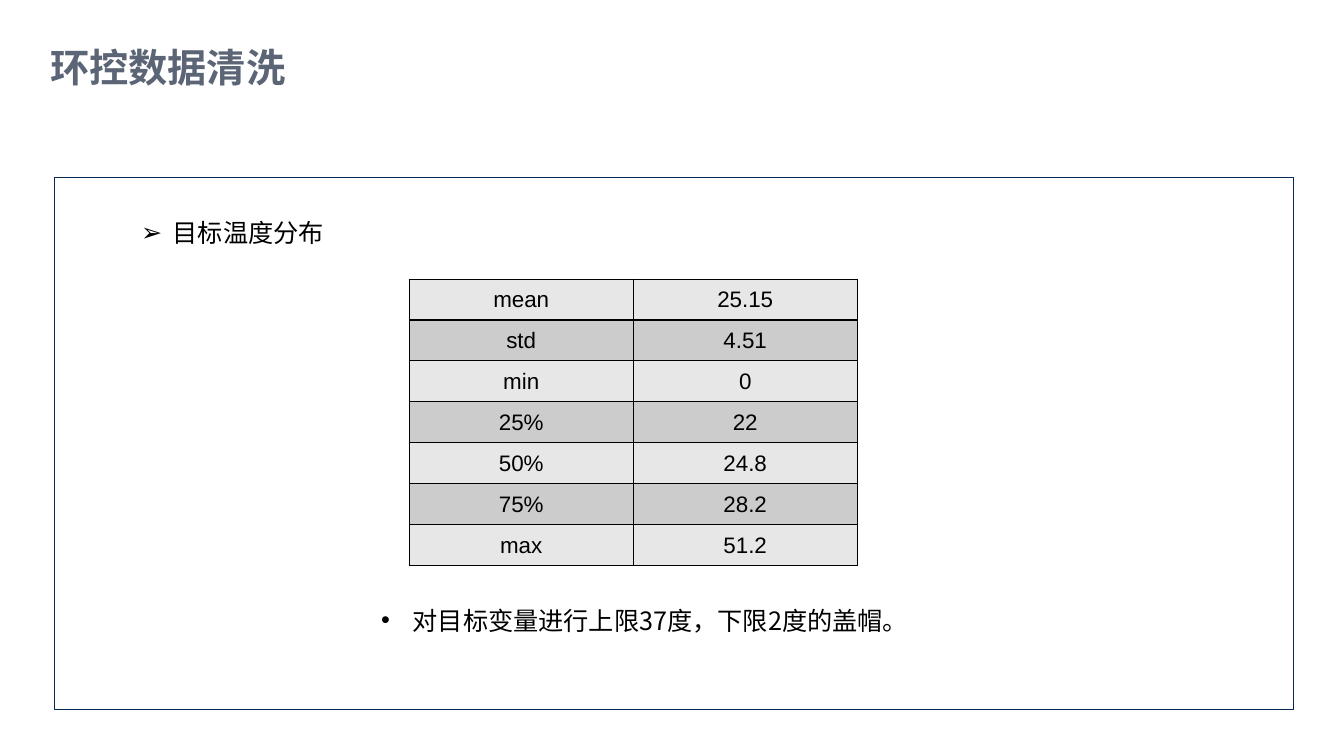
from dataclasses import dataclass

from lxml import etree
from pptx import Presentation
from pptx.dml.color import RGBColor
from pptx.enum.shapes import MSO_SHAPE
from pptx.enum.text import MSO_ANCHOR, MSO_AUTO_SIZE, PP_ALIGN
from pptx.oxml.ns import qn
from pptx.util import Pt

RECTANGLE = MSO_SHAPE.RECTANGLE
MIDDLE, TOP = MSO_ANCHOR.MIDDLE, MSO_ANCHOR.TOP
NO_AUTOSIZE, GROW = MSO_AUTO_SIZE.NONE, MSO_AUTO_SIZE.SHAPE_TO_FIT_TEXT
LEFT, CENTER, JUSTIFY = PP_ALIGN.LEFT, PP_ALIGN.CENTER, PP_ALIGN.JUSTIFY

CHINESE, LATIN = "Noto Sans CJK SC", "Arial"
BLACK, TITLE_GREY, NAVY = "000000", "5C6576", "032954"
ROW_FILLS = ("E7E7E7", "CCCCCC")
INDENT = 22.5
COLUMN_WIDTH, ROW_HEIGHT = 160, 29.2

STATISTICS = (
    ("mean", "25.15"),
    ("std", "4.51"),
    ("min", "0"),
    ("25%", "22"),
    ("50%", "24.8"),
    ("75%", "28.2"),
    ("max", "51.2"),
)


@dataclass
class Area:
    left: float
    top: float
    width: float
    height: float


@dataclass
class Bullet:
    mark: str
    text: str
    area: Area


BULLETS = (
    Bullet("➢", "目标温度分布", Area(93.6, 151.9, 386.6, 28.8)),
    Bullet("•", "对目标变量进行上限37度，下限2度的盖帽。", Area(265, 428.4, 480.2, 28.8)),
)


def color(hex_value: str) -> RGBColor:
    return RGBColor.from_string(hex_value)


def place(box, area: Area) -> None:
    box.left, box.top = Pt(area.left), Pt(area.top)
    box.width, box.height = Pt(area.width), Pt(area.height)


def set_margins(box, left: float, top: float, right: float, bottom: float) -> None:
    box.margin_left, box.margin_top = Pt(left), Pt(top)
    box.margin_right, box.margin_bottom = Pt(right), Pt(bottom)


def format_paragraph(para, size: float, font: str, tint: str, align, bold=False) -> None:
    para.alignment = align
    para.space_before = Pt(0)
    for span in para.runs:
        span.font.size, span.font.name, span.font.bold = Pt(size), font, bold
        span.font.color.rgb = color(tint)
        etree.SubElement(span.font._element, qn("a:ea"), typeface=font)


def add_title(page, text: str, area: Area) -> None:
    title = page.shapes.title
    place(title, area)
    frame = title.text_frame
    frame.text = text
    frame.auto_size, frame.vertical_anchor = NO_AUTOSIZE, MIDDLE
    set_margins(frame, 9.4, 5, 9.4, 5)
    format_paragraph(frame.paragraphs[0], 28, CHINESE, TITLE_GREY, LEFT, bold=True)


def add_bullet(box, bullet: Bullet) -> None:
    place(box, bullet.area)
    frame = box.text_frame
    frame.text = bullet.text
    frame.auto_size, frame.vertical_anchor = GROW, TOP
    set_margins(frame, 7.2, 3.6, 7.2, 3.6)
    para = frame.paragraphs[0]
    format_paragraph(para, 18, CHINESE, BLACK, JUSTIFY)
    properties = para._p.get_or_add_pPr()
    properties.set("marL", str(Pt(INDENT)))
    properties.set("indent", str(-Pt(INDENT)))
    etree.SubElement(properties, qn("a:buFont"), typeface=LATIN)
    etree.SubElement(properties, qn("a:buChar"), char=bullet.mark)


def add_content_frame(page, area: Area) -> None:
    frame = page.shapes.add_shape(
        RECTANGLE, Pt(area.left), Pt(area.top), Pt(area.width), Pt(area.height)
    )
    frame.shadow.inherit = False
    frame.fill.background()
    frame.line.color.rgb = color(NAVY)
    frame.line.width = Pt(1)


def add_borders(cell) -> None:
    properties = cell._tc.get_or_add_tcPr()
    for side in ("lnL", "lnR", "lnT", "lnB"):
        line = etree.SubElement(properties, qn(f"a:{side}"), w=str(Pt(1)))
        fill = etree.SubElement(line, qn("a:solidFill"))
        etree.SubElement(fill, qn("a:srgbClr"), val=BLACK)


def add_statistics_table(page, left: float, top: float) -> None:
    rows, columns = len(STATISTICS), len(STATISTICS[0])
    table = page.shapes.add_table(
        rows, columns, Pt(left), Pt(top),
        Pt(columns * COLUMN_WIDTH), Pt(rows * ROW_HEIGHT),
    ).table
    for row, values in enumerate(STATISTICS):
        table.rows[row].height = Pt(ROW_HEIGHT)
        for column, value in enumerate(values):
            cell = table.cell(row, column)
            cell.text_frame.text = value
            cell.vertical_anchor = MIDDLE
            set_margins(cell, 0.7, 0.7, 0.7, 0)
            add_borders(cell)
            cell.fill.solid()
            cell.fill.fore_color.rgb = color(ROW_FILLS[row % 2])
            format_paragraph(cell.text_frame.paragraphs[0], 16, LATIN, BLACK, CENTER)


def main() -> None:
    deck = Presentation()
    deck.slide_width, deck.slide_height = Pt(960), Pt(540)
    page = deck.slides.add_slide(deck.slide_layouts.get_by_name("Two Content"))

    # Title and bullets
    add_title(page, "环控数据清洗", Area(26.6, 22.3, 884.9, 50.4))
    bodies = list(page.placeholders)[1:]
    for box, bullet in zip(bodies, BULLETS):
        add_bullet(box, bullet)

    # Framed statistics
    add_content_frame(page, Area(38.9, 126.7, 884.9, 380.2))
    add_statistics_table(page, 292.3, 199.4)

    deck.save("out.pptx")


if __name__ == "__main__":
    main()
